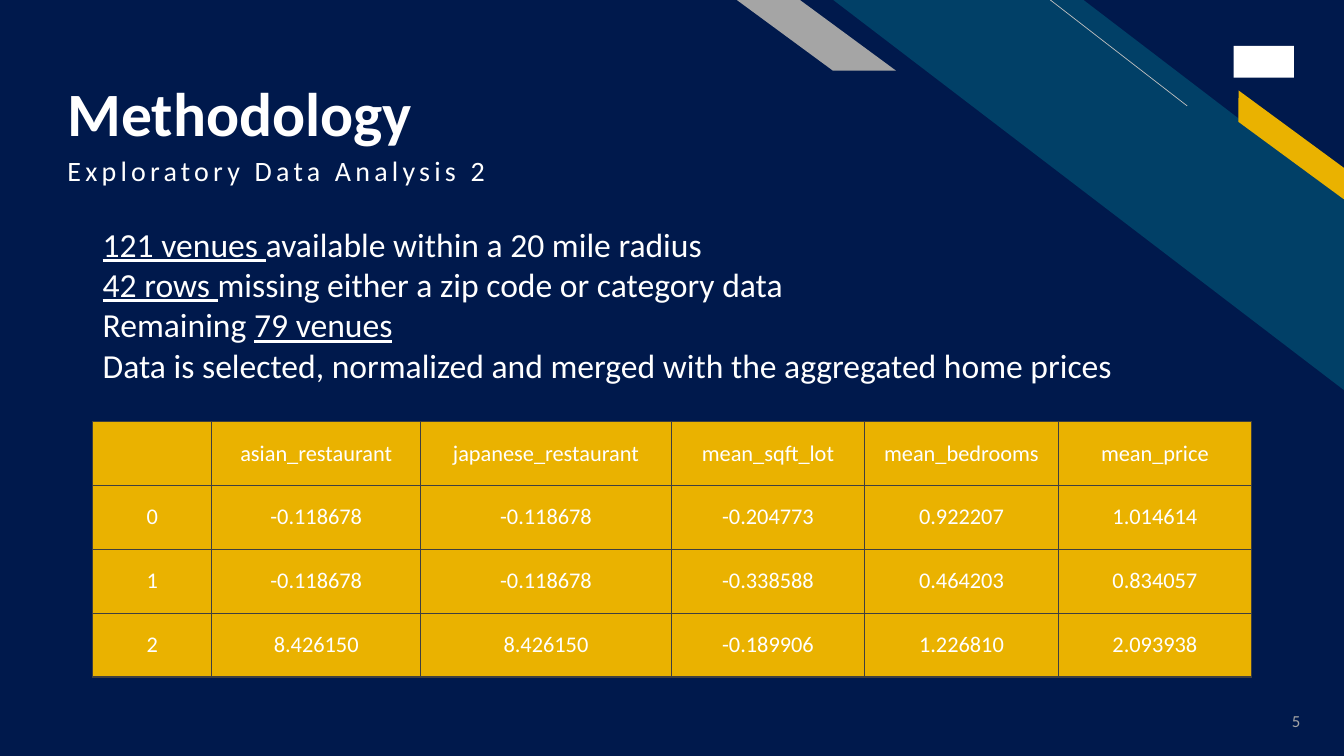
from dataclasses import dataclass

from lxml.etree import SubElement
from pptx import Presentation
from pptx.dml.color import RGBColor
from pptx.enum.shapes import MSO_CONNECTOR as Connector, MSO_SHAPE as Shape
from pptx.enum.text import MSO_ANCHOR as Anchor, PP_ALIGN as Align
from pptx.oxml.ns import qn
from pptx.util import Cm, Pt


@dataclass(frozen=True)
class Theme:
    navy: str = "00194C"
    teal: str = "014067"
    gold: str = "EAB200"
    grey: str = "A5A5A5"
    hairline: str = "BFBFBF"
    border: str = "3F3F3F"
    white: str = "FFFFFF"
    font: str = "Calibri"
    title: int = 44
    body: int = 24
    subtitle: int = 20
    table: int = 16
    page_number: int = 12


THEME = Theme()

# Each line is a list of (text, underlined) pairs.
FINDINGS = [
    [("121 venues ", True), ("available within a 20 mile radius", False)],
    [("42 rows ", True), ("missing either a zip code or category data", False)],
    [("Remaining ", False), ("79 venues", True)],
    [("Data is selected, normalized and merged with the aggregated home prices", False)],
]

VENUE_ROWS = [
    ["", "asian_restaurant", "japanese_restaurant", "mean_sqft_lot", "mean_bedrooms", "mean_price"],
    ["0", "-0.118678", "-0.118678", "-0.204773", "0.922207", "1.014614"],
    ["1", "-0.118678", "-0.118678", "-0.338588", "0.464203", "0.834057"],
    ["2", "8.426150", "8.426150", "-0.189906", "1.226810", "2.093938"],
]
COLUMN_WIDTHS = [3, 5.26, 6.32, 4.87, 4.88, 4.87]
ROW_HEIGHT = 1.61


def paint(fill, color):
    fill.solid()
    fill.fore_color.rgb = RGBColor.from_string(color)


def style(span, size, color=THEME.white, bold=False):
    span.font.name = THEME.font
    span.font.size = Pt(size)
    span.font.bold = bold
    span.font.color.rgb = RGBColor.from_string(color)


def add_box(page, bounds, anchor=Anchor.TOP):
    """Add an empty wrapping text box and return its text frame."""
    frame = page.shapes.add_textbox(*map(Cm, bounds)).text_frame
    frame.word_wrap = True
    frame.vertical_anchor = anchor
    return frame


def add_label(page, text, bounds, size, anchor=Anchor.TOP, **look):
    """Add a one-paragraph text box and return its text frame."""
    frame = add_box(page, bounds, anchor)
    frame.text = text
    style(frame.paragraphs[0].runs[0], size, **look)
    return frame


def add_plain_shape(page, kind, bounds, color):
    shape = page.shapes.add_shape(kind, *map(Cm, bounds))
    shape.shadow.inherit = False
    paint(shape.fill, color)
    shape.line.fill.background()
    return shape


def add_band(page, kind, bounds, adjustment, color, rotation=0):
    """Add a slanted band, mirrored so that it falls to the right."""
    band = add_plain_shape(page, kind, bounds, color)
    band.adjustments[0] = adjustment
    band.rotation = rotation
    band.element.spPr.xfrm.set("flipH", "1")


def add_hairline(page, start, end):
    line = page.shapes.add_connector(Connector.STRAIGHT, *map(Cm, start + end))
    line.line.width = Pt(0.5)
    line.line.color.rgb = RGBColor.from_string(THEME.hairline)
    SubElement(line.element.spPr, qn("a:effectLst"))


def add_decoration(page):
    paint(page.background.fill, THEME.navy)
    add_band(page, Shape.DIAGONAL_STRIPE, (21, 0, 12.87, 9.83), 0.51, THEME.teal)
    add_hairline(page, (29.92, 2.67), (26.47, 0))
    add_band(page, Shape.PARALLELOGRAM, (30.66, 3.33, 3.76, 0.64), 0.72, THEME.gold, 36.3)
    add_band(page, Shape.PARALLELOGRAM, (18.57, 0, 4.01, 1.78), 1.36, THEME.grey)
    add_plain_shape(page, Shape.RECTANGLE, (31.09, 1.16, 1.52, 0.8), THEME.white)


def add_heading(page):
    title = add_label(page, "Methodology", (1.45, 0.58, 23.14, 3.2), THEME.title,
                      anchor=Anchor.BOTTOM, bold=True)
    title.margin_bottom = 0
    title.paragraphs[0].line_spacing = 0.9

    subtitle = add_label(page, "Exploratory Data Analysis 2", (1.45, 3.84, 20.47, 1.7),
                         THEME.subtitle).paragraphs[0]
    subtitle.line_spacing = 0.9
    subtitle.space_before = Pt(10)
    # Letter spacing is in hundredths of a point.
    subtitle.runs[0].font._element.set("spc", "300")


def add_findings(page):
    frame = add_box(page, (2.34, 5.51, 29.21, 4.37))
    for index, line in enumerate(FINDINGS):
        para = frame.add_paragraph() if index else frame.paragraphs[0]
        for text, underlined in line:
            span = para.add_run()
            span.text = text
            style(span, THEME.body)
            span.font.underline = underlined


def add_borders(cell):
    """Draw all four sides; the lines must come before the cell's fill."""
    properties = cell._tc.get_or_add_tcPr()
    for position, side in enumerate(("a:lnL", "a:lnR", "a:lnT", "a:lnB")):
        edge = SubElement(properties, qn(side), w=str(Pt(1)))
        properties.insert(position, edge)
        SubElement(SubElement(edge, qn("a:solidFill")), qn("a:srgbClr"), val=THEME.border)


def add_venue_table(page):
    table = page.shapes.add_table(
        len(VENUE_ROWS), len(COLUMN_WIDTHS), Cm(2.34), Cm(10.62),
        Cm(sum(COLUMN_WIDTHS)), Cm(ROW_HEIGHT * len(VENUE_ROWS))).table
    for column, width in zip(table.columns, COLUMN_WIDTHS):
        column.width = Cm(width)
    for row, values in zip(table.rows, VENUE_ROWS):
        row.height = Cm(ROW_HEIGHT)
        for cell, value in zip(row.cells, values):
            cell.text = value
            cell.vertical_anchor = Anchor.MIDDLE
            paint(cell.fill, THEME.gold)
            add_borders(cell)
            para = cell.text_frame.paragraphs[0]
            para.alignment = Align.CENTER
            for span in para.runs:
                style(span, THEME.table)


def add_page_number(page):
    number = add_label(page, "5", (30.96, 17.65, 2.06, 1.02), THEME.page_number,
                       anchor=Anchor.MIDDLE, color=THEME.grey)
    number.paragraphs[0].alignment = Align.RIGHT


def main():
    deck = Presentation()
    deck.slide_width, deck.slide_height = Cm(33.87), Cm(19.05)
    page = deck.slides.add_slide(deck.slide_layouts[6])
    add_decoration(page)
    add_heading(page)
    add_page_number(page)
    add_venue_table(page)
    add_findings(page)
    deck.save("out.pptx")


if __name__ == "__main__":
    main()
